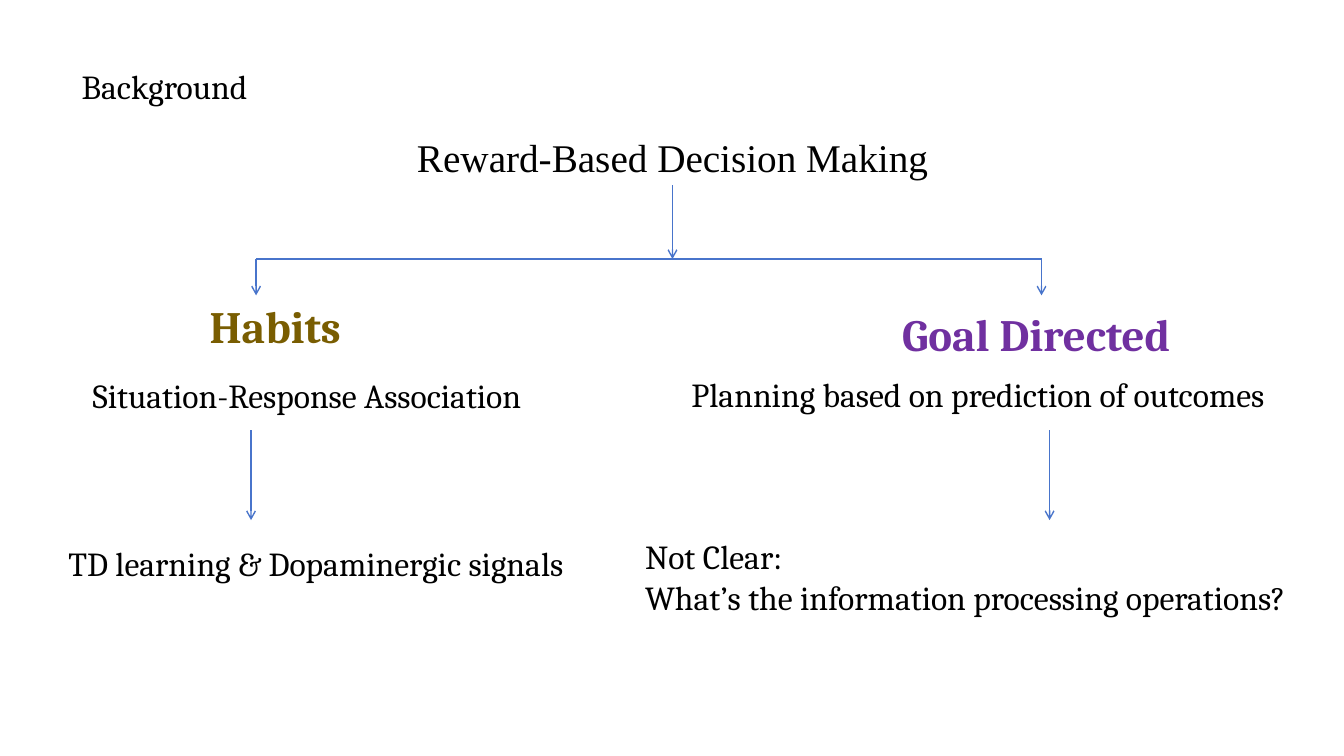
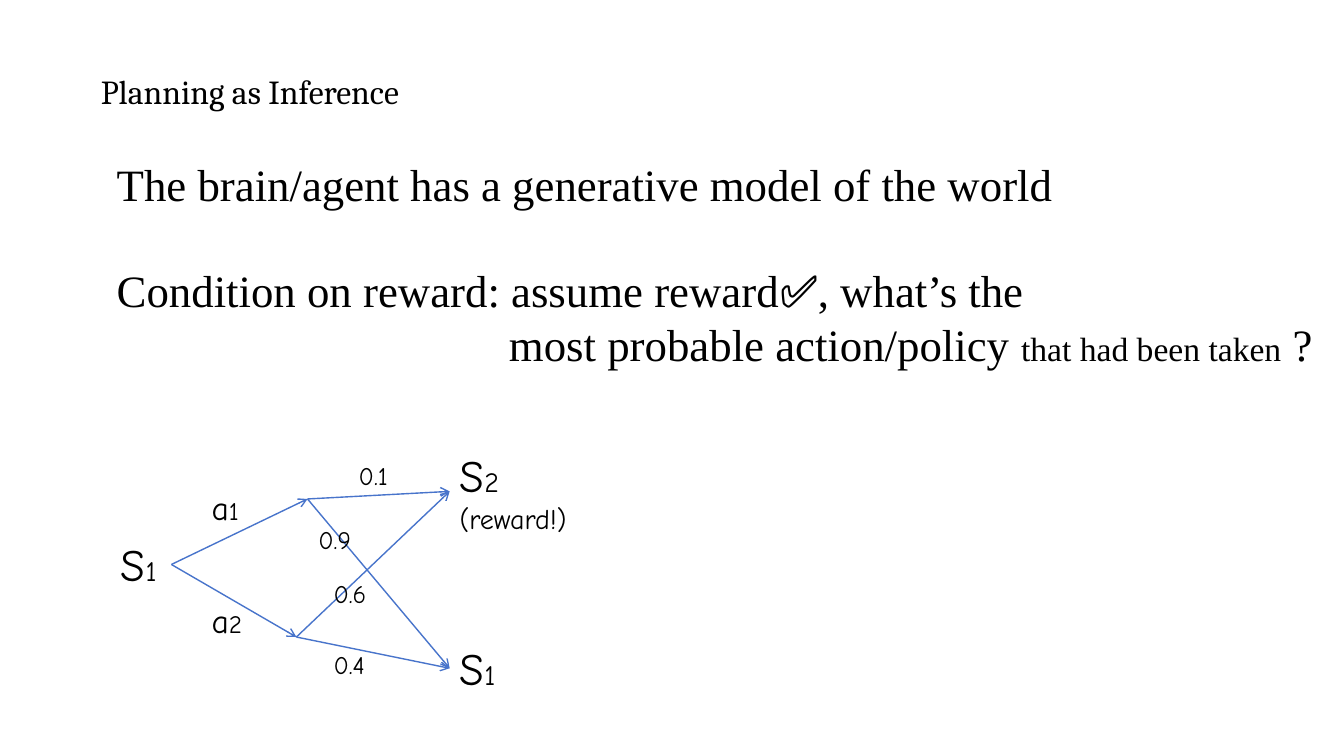
from dataclasses import dataclass

from lxml.etree import SubElement
from pptx import Presentation
from pptx.dml.color import RGBColor
from pptx.enum.shapes import MSO_CONNECTOR
from pptx.enum.text import MSO_ANCHOR, MSO_AUTO_SIZE, PP_ALIGN
from pptx.oxml.ns import qn
from pptx.util import Inches, Pt


@dataclass(frozen=True)
class Theme:
    ink: str = "000000"
    arrow: str = "4874CB"
    habits: str = "795D01"
    goal: str = "7030A0"
    serif: str = "Cambria"
    times: str = "Times New Roman"
    comic: str = "Comic Neue"
    large: int = 32
    topic: int = 28
    body: int = 24
    subscript: int = 20
    small: int = 18
    line: int = 1


THEME = Theme()
TITLE_ONLY = 5

BACKGROUND = ("Background", (0.71, 0.28, 9.14, 1.19))
TOPIC = ("Reward-Based Decision Making", (2.78, 1.27, 7.78, 0.57))
FORK_Y = 2.57
BRANCHES = [
    {
        "fork_x": 2.54,
        "result_x": 2.49,
        "heading": ("Habits", THEME.habits, (1.98, 2.91, 2.14, 0.64)),
        "notes": [
            (["Situation-Response Association"], (0.82, 3.67, 5.65, 0.5)),
            (["TD learning & Dopaminergic signals"], (0.58, 5.34, 5.7, 0.5)),
        ],
    },
    {
        "fork_x": 10.33,
        "result_x": 10.41,
        "heading": ("Goal Directed", THEME.goal, (8.85, 2.99, 3.67, 0.64)),
        "notes": [
            (["Planning based on prediction of outcomes"], (6.76, 3.66, 6.44, 0.5)),
            (["Not Clear:", "What’s the information processing operations?"],
             (6.3, 5.27, 6.9, 0.91)),
        ],
    },
]

INFERENCE = ("Planning as Inference", (0.9, 0.68, 9.89, 0.5))
MODEL_BOX = (1.06, 1.51, 12.2, 2.25)
MODEL_TEXT = [
    [("The brain/agent has a generative model of the world", THEME.large)],
    [("Condition on reward: assume reward✅, what’s the", THEME.large)],
    [("most probable action/policy ", THEME.large),
     ("that had been taken", THEME.body), (" ?", THEME.large)],
]
CONDITION_GAP = 37
POLICY_INDENT = 3.89

STATES = {
    "start": ("1", None, (1.1, 5.28, 0.6, 0.64)),
    "reward": ("2", "(reward!)", (4.46, 4.39, 2.01, 0.97)),
    "return": ("1", None, (4.46, 6.31, 0.6, 0.64)),
}
ACTIONS = [
    {"number": "1", "label": (2, 4.78, 0.66, 0.5), "node": (3.05, 4.95),
     "outcomes": [("reward", "0.1", (3.46, 4.52)), ("return", "0.9", (3.06, 5.15))]},
    {"number": "2", "label": (2, 5.9, 0.66, 0.5), "node": (2.94, 6.32),
     "outcomes": [("reward", "0.6", (3.21, 5.69)), ("return", "0.4", (3.21, 6.39))]},
]
ODDS_SIZE = (0.96, 0.4)


def add_run(paragraph, text, size, font, color=THEME.ink, bold=False):
    run = paragraph.add_run()
    run.text = text
    run.font.size = Pt(size)
    run.font.name = font
    run.font.bold = bold
    run.font.color.rgb = RGBColor.from_string(color)


def add_text(slide, box, paragraphs, font, color=THEME.ink, bold=False):
    label = slide.shapes.add_textbox(*map(Inches, box))
    frame = label.text_frame
    frame.word_wrap = True
    frame.auto_size = MSO_AUTO_SIZE.SHAPE_TO_FIT_TEXT
    for index, runs in enumerate(paragraphs):
        paragraph = frame.add_paragraph() if index else frame.paragraphs[0]
        for text, size in runs:
            add_run(paragraph, text, size, font, color, bold)
    return label


def add_line(slide, start, end, arrow=True):
    line = slide.shapes.add_connector(
        MSO_CONNECTOR.STRAIGHT, *map(Inches, (*start, *end)))
    line.line.color.rgb = RGBColor.from_string(THEME.arrow)
    line.line.width = Pt(THEME.line)
    if arrow:
        SubElement(line.line._get_or_add_ln(), qn("a:tailEnd"), type="arrow")
    SubElement(line._element.spPr, qn("a:effectLst"))
    return line


def add_titled_slide(deck, title, box):
    slide = deck.slides.add_slide(deck.slide_layouts[TITLE_ONLY])
    heading = slide.shapes.title
    heading.left, heading.top, heading.width, heading.height = map(Inches, box)
    frame = heading.text_frame
    frame.vertical_anchor = MSO_ANCHOR.MIDDLE
    frame.auto_size = MSO_AUTO_SIZE.NONE
    paragraph = frame.paragraphs[0]
    paragraph.alignment = PP_ALIGN.LEFT
    paragraph.line_spacing = 0.9
    add_run(paragraph, title, THEME.body, THEME.serif)
    return slide


def build_background(deck):
    slide = add_titled_slide(deck, *BACKGROUND)
    text, box = TOPIC
    topic = add_text(slide, box, [[(text, THEME.topic)]], THEME.times)
    topic.text_frame.paragraphs[0].alignment = PP_ALIGN.CENTER
    add_line(slide, (6.67, 1.84), (6.67, FORK_Y)).begin_connect(topic, 2)
    left_x, right_x = (branch["fork_x"] for branch in BRANCHES)
    add_line(slide, (left_x, FORK_Y), (right_x, FORK_Y), arrow=False)

    for branch in BRANCHES:
        add_line(slide, (branch["fork_x"], FORK_Y), (branch["fork_x"], 2.93))
        add_line(slide, (branch["result_x"], 4.27), (branch["result_x"], 5.16))
        name, color, box = branch["heading"]
        add_text(slide, box, [[(name, THEME.large)]], THEME.serif, color, bold=True)
        for lines, box in branch["notes"]:
            add_text(slide, box, [[(line, THEME.body)] for line in lines], THEME.serif)


def build_inference(deck):
    slide = add_titled_slide(deck, *INFERENCE)
    model = add_text(slide, MODEL_BOX, MODEL_TEXT, THEME.times)
    _, condition, policy = model.text_frame.paragraphs
    condition.space_before = Pt(CONDITION_GAP)
    properties = policy._p.get_or_add_pPr()
    properties.set("marL", str(Inches(POLICY_INDENT)))
    properties.set("indent", "0")

    states = {}
    for key, (number, note, box) in STATES.items():
        lines = [[("S", THEME.large), (number, THEME.subscript)]]
        if note:
            lines.append([(note, THEME.subscript)])
        states[key] = add_text(slide, box, lines, THEME.comic)

    for action in ACTIONS:
        node = action["node"]
        add_line(slide, (1.7, 5.6), node).begin_connect(states["start"], 3)
        add_text(slide, action["label"],
                 [[("a", THEME.body), (action["number"], THEME.small)]], THEME.comic)
        for target, odds, corner in action["outcomes"]:
            left, top, _, height = STATES[target][2]
            outcome = add_line(slide, node, (left, top + height / 2))
            outcome.end_connect(states[target], 1)
            add_text(slide, corner + ODDS_SIZE, [[(odds, THEME.small)]], THEME.comic)


def main():
    deck = Presentation()
    deck.slide_width, deck.slide_height = Inches(13.33), Inches(7.5)
    build_background(deck)
    build_inference(deck)
    deck.save("out.pptx")


if __name__ == "__main__":
    main()
